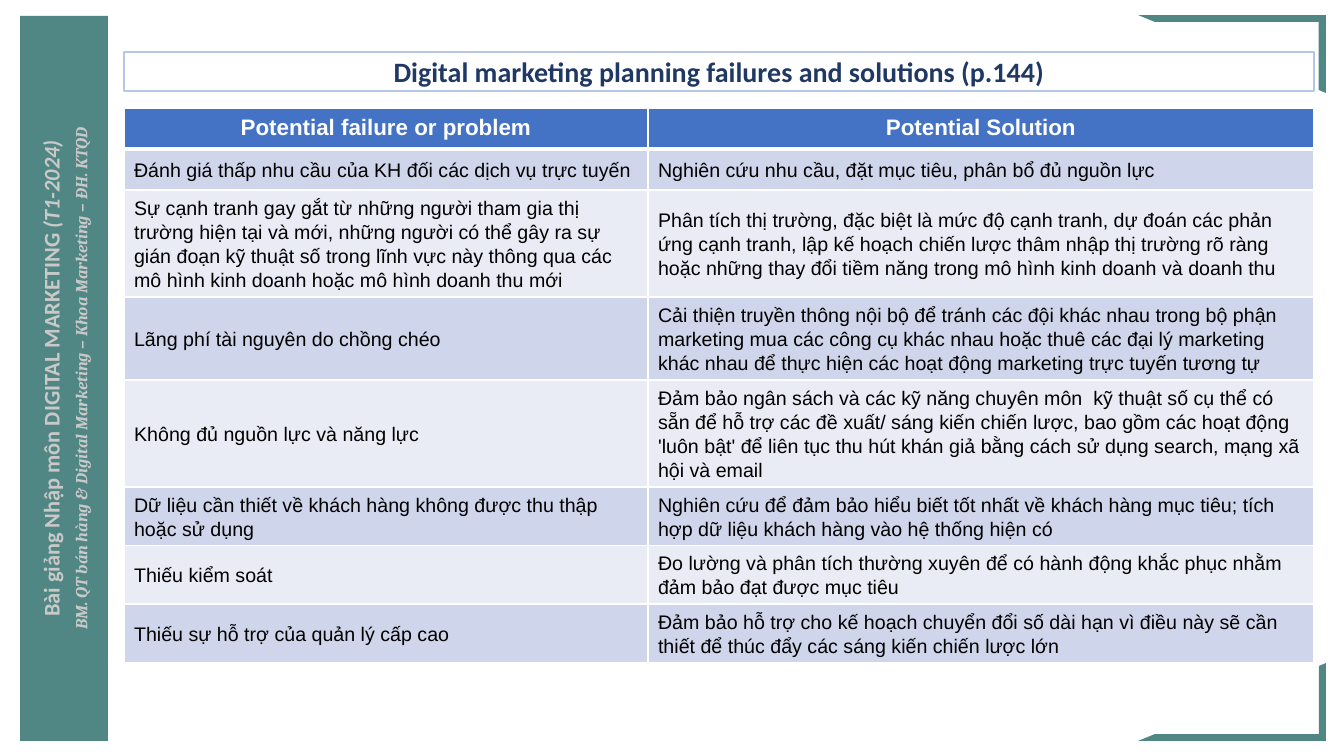
from pptx import Presentation, util as u
from pptx.dml.color import RGBColor
from pptx.enum import shapes, text
from pptx.oxml import parse_xml
from pptx.oxml.ns import nsdecls

TITLE = "Digital marketing planning failures and solutions (p.144)"
HEADER = ("Potential failure or problem", "Potential Solution")
FAILURES = [
    ("Đánh giá thấp nhu cầu của KH đối các dịch vụ trực tuyến",
     "Nghiên cứu nhu cầu, đặt mục tiêu, phân bổ đủ nguồn lực"),
    ("Sự cạnh tranh gay gắt từ những người tham gia thị trường hiện tại và mới, "
     "những người có thể gây ra sự gián đoạn kỹ thuật số trong lĩnh vực này "
     "thông qua các mô hình kinh doanh hoặc mô hình doanh thu mới",
     "Phân tích thị trường, đặc biệt là mức độ cạnh tranh, dự đoán các phản ứng "
     "cạnh tranh, lập kế hoạch chiến lược thâm nhập thị trường rõ ràng hoặc "
     "những thay đổi tiềm năng trong mô hình kinh doanh và doanh thu"),
    ("Lãng phí tài nguyên do chồng chéo",
     "Cải thiện truyền thông nội bộ để tránh các đội khác nhau trong bộ phận "
     "marketing mua các công cụ khác nhau hoặc thuê các đại lý marketing khác "
     "nhau để thực hiện các hoạt động marketing trực tuyến tương tự"),
    ("Không đủ nguồn lực và năng lực",
     "Đảm bảo ngân sách và các kỹ năng chuyên môn  kỹ thuật số cụ thể có sẵn để "
     "hỗ trợ các đề xuất/ sáng kiến chiến lược, bao gồm các hoạt động 'luôn bật' "
     "để liên tục thu hút khán giả bằng cách sử dụng search, mạng xã hội và email"),
    ("Dữ liệu cần thiết về khách hàng không được thu thập hoặc sử dụng",
     "Nghiên cứu để đảm bảo hiểu biết tốt nhất về khách hàng mục tiêu; tích hợp "
     "dữ liệu khách hàng vào hệ thống hiện có"),
    ("Thiếu kiểm soát",
     "Đo lường và phân tích thường xuyên để có hành động khắc phục nhằm đảm bảo "
     "đạt được mục tiêu"),
    ("Thiếu sự hỗ trợ của quản lý cấp cao",
     "Đảm bảo hỗ trợ cho kế hoạch chuyển đổi số dài hạn vì điều này sẽ cần thiết "
     "để thúc đẩy các sáng kiến chiến lược lớn"),
]
COL_WIDTHS = (524, 666)
ROW_HEIGHTS = (41, 41, 107, 83, 107, 58, 58, 58)

C = {"teal": "508784", "silver": "C9C9C9", "navy": "203864", "pale": "B4C7E7",
     "blue": "4472C4", "odd": "CFD5EA", "even": "E9EBF5", "white": "FFFFFF",
     "black": "000000"}
COURSE = {"name": "Calibri", "size": u.Pt(16), "bold": True, "color": "silver"}
SIDE_LINES = [
    [("Bài giảng Nhập môn DIGITAL MARKETING ", COURSE),
     ("(T1-2024)", {**COURSE, "italic": True})],
    [("BM. QT bán hàng & Digital Marketing – Khoa Marketing – ĐH. KTQD",
      {**COURSE, "name": "Cambria", "size": u.Pt(12), "italic": True})],
]
TITLE_FONT = {"name": "Calibri", "size": u.Pt(20), "bold": True, "color": "navy"}
HEAD_FONT = {"name": "Arial", "size": u.Pt(16), "bold": True, "color": "white"}
CELL_FONT = {"name": "Arial", "size": u.Pt(14), "bold": False, "color": "black"}

CENTER, MIDDLE = text.PP_ALIGN.CENTER, text.MSO_ANCHOR.MIDDLE


def px(*values):
    return [u.Emu(round(v * 914400 / 100.8)) for v in values]


def paint(fill, color):
    fill.solid()
    fill.fore_color.rgb = RGBColor.from_string(C[color])


def add_run(p, words, font):
    r = p.add_run()
    r.text = words
    for key, value in font.items():
        if key == "color":
            r.font.color.rgb = RGBColor.from_string(C[value])
        else:
            setattr(r.font, key, value)


def add_teal(kind, *box):
    sp = s.shapes.add_shape(kind, *px(*box))
    sp.shadow.inherit = False
    paint(sp.fill, "teal")
    sp.line.fill.background()
    return sp


def set_borders(cell, top, bottom):
    """Draw white cell edges; top and bottom widths are in points."""
    tc_pr = cell._tc.get_or_add_tcPr()
    edges = (("L", 1), ("R", 1), ("T", top), ("B", bottom))
    for i, (side, width) in enumerate(edges):
        tc_pr.insert(i, parse_xml(
            f'<a:ln{side} {nsdecls("a")} w="{u.Pt(width)}"><a:solidFill>'
            f'<a:srgbClr val="{C["white"]}"/></a:solidFill></a:ln{side}>'))


prs = Presentation()
prs.slide_width, prs.slide_height = px(1344, 756)
s = prs.slides.add_slide(prs.slide_layouts[5])

# Side panel
panel = add_teal(shapes.MSO_SHAPE.RECTANGLE, 20, 16, 88, 725)
tf = panel.text_frame
tf.vertical_anchor = MIDDLE
tf._txBody.bodyPr.set("vert", "vert270")
for i, line in enumerate(SIDE_LINES):
    p = tf.add_paragraph() if i else tf.paragraphs[0]
    p.alignment = CENTER
    if i:
        p.space_before = u.Pt(4.5)
    for words, font in line:
        add_run(p, words, font)

# Corner frames
corners = [add_teal(shapes.MSO_SHAPE.HALF_FRAME, 1138, top, 188, 78)
           for top in (15, 663)]
for sp in corners:
    sp.adjustments[0], sp.adjustments[1] = 0.09, 0.093
corners[0]._element.spPr.xfrm.set("flipH", "1")
corners[1].rotation = 180

# Title
title = s.shapes.title
title.left, title.top, title.width, title.height = px(124, 52, 1190, 39)
title.line.color.rgb = RGBColor.from_string(C["pale"])
title.line.width = u.Pt(1)
tf = title.text_frame
tf.auto_size = text.MSO_AUTO_SIZE.NONE
tf.vertical_anchor = MIDDLE
tf.paragraphs[0].alignment = CENTER
add_run(tf.paragraphs[0], TITLE, TITLE_FONT)

# Table
rows = [HEADER] + FAILURES
table = s.shapes.add_table(len(rows), 2, *px(
    124, 108, sum(COL_WIDTHS), sum(ROW_HEIGHTS))).table
for column, width in zip(table.columns, px(*COL_WIDTHS)):
    column.width = width
for row, height in zip(table.rows, px(*ROW_HEIGHTS)):
    row.height = height
for i, row in enumerate(rows):
    for j, words in enumerate(row):
        cell = table.cell(i, j)
        paint(cell.fill, ("odd" if i % 2 else "even") if i else "blue")
        set_borders(cell, 3 if i == 1 else 1, 1 if i else 3)
        p = cell.text_frame.paragraphs[0]
        p.line_spacing = 1.1
        if i:
            cell.vertical_anchor = MIDDLE
        else:
            p.alignment = CENTER
        add_run(p, words, CELL_FONT if i else HEAD_FONT)

prs.save("out.pptx")
